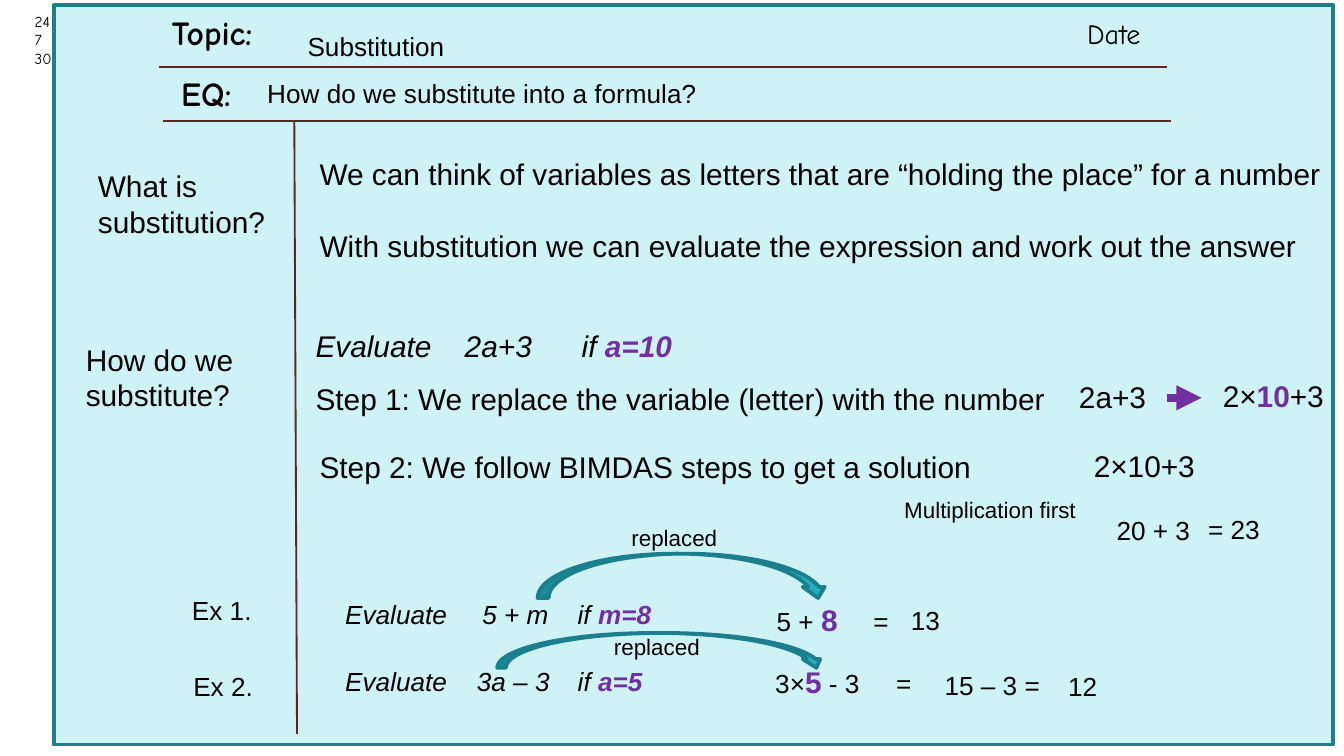
from dataclasses import dataclass

from lxml.etree import SubElement
from pptx import Presentation
from pptx.dml.color import RGBColor
from pptx.enum.shapes import MSO_CONNECTOR, MSO_SHAPE
from pptx.enum.text import MSO_AUTO_SIZE
from pptx.oxml.ns import qn
from pptx.shapes.autoshape import Shape
from pptx.slide import Slide
from pptx.util import Emu, Pt

PX = 9144  # 100 px to the inch
BLACK, PURPLE, TEAL, BROWN = "000000", "7030A0", "1B808C", "632523"
PALE, BRIGHT = "CFF2F6", "24ADBD"
HAND = "Comic Neue"


@dataclass
class Run:
    text: str
    size: float = 14
    color: str = BLACK
    bold: bool = False
    italic: bool = False
    font: str = "Arial"


@dataclass
class Label:
    """A text box; each entry of paragraphs is a list of runs."""
    left: int
    top: int
    width: int
    height: int
    paragraphs: list[list[Run]]
    wrap: bool = True
    tabs: tuple[int, ...] = ()
    gap: float = 0


@dataclass
class Line:
    start: tuple[int, int]
    end: tuple[int, int]
    color: str = BROWN
    weight: float = 1
    arrow: bool = False


@dataclass
class Block:
    kind: MSO_SHAPE
    left: int
    top: int
    width: int
    height: int
    fill: str


def px(value: int) -> Emu:
    return Emu(value * PX)


def rgb(color: str) -> RGBColor:
    return RGBColor.from_string(color)


def plain(text: str, size: float = 14) -> list[list[Run]]:
    return [[Run(text, size)]]


def evaluate(expression: str, value: str, size: float = 14) -> list[list[Run]]:
    return [[Run(f"Evaluate\t{expression}\tif ", size, italic=True),
             Run(value, size, PURPLE, bold=True, italic=True)]]


def replaced(before: str, number: str, after: str, size: float = 14) -> list[list[Run]]:
    """An expression with the substituted number picked out."""
    return [[Run(before, size), Run(number, 16, PURPLE, bold=True), Run(after, size)]]


def draw_block(slide: Slide, block: Block) -> Shape:
    shape = slide.shapes.add_shape(block.kind, px(block.left), px(block.top),
                                   px(block.width), px(block.height))
    shape.shadow.inherit = False
    shape.fill.solid()
    shape.fill.fore_color.rgb = rgb(block.fill)
    shape.line.color.rgb = rgb(TEAL)
    shape.line.width = Pt(2)
    return shape


def draw_line(slide: Slide, line: Line) -> None:
    connector = slide.shapes.add_connector(MSO_CONNECTOR.STRAIGHT, *map(px, line.start + line.end))
    connector.line.color.rgb = rgb(line.color)
    connector.line.width = Pt(line.weight)
    if line.arrow:
        SubElement(connector.line._get_or_add_ln(), qn("a:tailEnd"), type="triangle")
    SubElement(connector._element.spPr, qn("a:effectLst"))


def draw_label(slide: Slide, label: Label) -> None:
    box = slide.shapes.add_textbox(px(label.left), px(label.top), px(label.width), px(label.height))
    frame = box.text_frame
    frame.word_wrap = label.wrap
    frame.auto_size = MSO_AUTO_SIZE.SHAPE_TO_FIT_TEXT
    for index, runs in enumerate(label.paragraphs):
        paragraph = frame.add_paragraph() if index else frame.paragraphs[0]
        if label.tabs:
            tab_list = SubElement(paragraph._p.get_or_add_pPr(), qn("a:tabLst"))
            for position in label.tabs:
                SubElement(tab_list, qn("a:tab"), pos=str(px(position)), algn="l")
        if index and label.gap:
            paragraph.space_before = Pt(label.gap)
        for item in runs:
            run = paragraph.add_run()
            run.text = item.text
            font = run.font
            font.name, font.size = item.font, Pt(item.size)
            font.bold, font.italic = item.bold, item.italic
            font.color.rgb = rgb(item.color)


BLOCKS = [
    Block(MSO_SHAPE.RECTANGLE, 40, 4, 952, 550, PALE),
    Block(MSO_SHAPE.CURVED_DOWN_ARROW, 400, 412, 217, 33, BRIGHT),
    Block(MSO_SHAPE.CURVED_DOWN_ARROW, 370, 471, 244, 26, BRIGHT),
]

LINES = [
    Line((118, 50), (868, 50)),
    Line((121, 90), (871, 90)),
    Line((219, 90), (221, 546)),
    Line((868, 296), (894, 296), PURPLE, 4.5, arrow=True),
]

HEADER = [
    Label(16, 4, 53, 52, [[Run(number, 8.2, font=HAND)] for number in ("24", "7", "30")]),
    Label(799, 7, 68, 35, [[Run("Date", 15, font=HAND)]]),
    Label(125, 49, 750, 40, [[Run("EQ:", 18, bold=True, font=HAND)]]),
    Label(118, 4, 103, 40, [[Run("Topic:", 18, bold=True, font=HAND)]], wrap=False),
    Label(219, 18, 410, 34, plain("Substitution")),
    Label(189, 53, 347, 34, plain("How do we substitute into a formula?"), wrap=False),
]

NOTES = [
    Label(63, 120, 151, 64, plain("What is substitution?", 16)),
    Label(228, 111, 769, 91,
          plain("We can think of variables as letters that are “holding the place” for a number", 16)
          + plain("With substitution we can evaluate the expression and work out the answer", 16),
          gap=19.4),
    Label(54, 249, 151, 64, plain("How do we substitute?", 16)),
    Label(225, 239, 520, 37, evaluate("2a+3", "a=10", 16), tabs=(111, 198)),
    Label(225, 278, 692, 37, plain("Step 1: We replace the variable (letter) with the number", 16)),
    Label(793, 277, 164, 37, plain("2a+3", 16)),
    Label(900, 276, 164, 37, replaced("2×", "10", "+3", 16)),
    Label(228, 329, 542, 37, plain("Step 2: We follow BIMDAS steps to get a solution", 16)),
    Label(804, 328, 164, 37, plain("2×10+3", 16)),
    Label(663, 364, 223, 30, plain("Multiplication first", 12)),
    Label(821, 378, 223, 34, plain("20 + 3")),
    Label(889, 377, 223, 34, plain("= 23")),
]

EXAMPLES = [
    Label(133, 437, 77, 34, plain("Ex 1.")),
    Label(247, 440, 266, 34, evaluate("5 + m", "m=8"), tabs=(102, 173)),
    Label(460, 385, 140, 30, plain("replaced", 12)),
    Label(568, 443, 164, 37, replaced("5 + ", "8", "\t="), tabs=(72,)),
    Label(668, 445, 63, 34, plain("13")),
    Label(134, 494, 77, 34, plain("Ex 2.")),
    Label(247, 490, 288, 34, evaluate("3a – 3", "a=5"), tabs=(98, 173)),
    Label(447, 466, 140, 30, plain("replaced", 12)),
    Label(567, 489, 164, 37, replaced("3×", "5", " - 3\t="), tabs=(90,)),
    Label(693, 493, 223, 34, plain("15 – 3 =")),
    Label(785, 494, 223, 34, plain("12")),
]


def main() -> None:
    presentation = Presentation()
    presentation.slide_width = px(1000)
    presentation.slide_height = Emu(px(1000) * 9 // 16)
    slide = presentation.slides.add_slide(presentation.slide_layouts[6])
    for block in BLOCKS:
        draw_block(slide, block)
    for line in LINES:
        draw_line(slide, line)
    for label in HEADER + NOTES + EXAMPLES:
        draw_label(slide, label)
    presentation.save("out.pptx")


if __name__ == "__main__":
    main()
